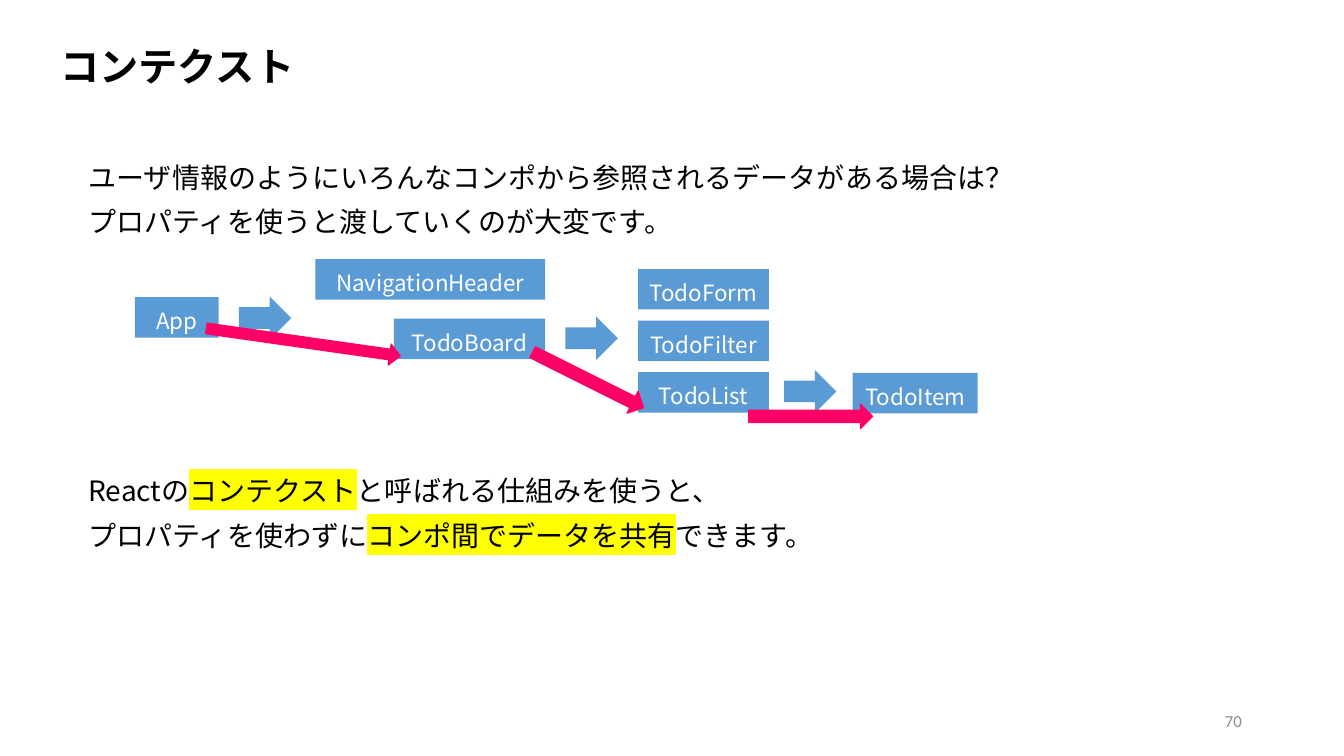
from dataclasses import dataclass

from lxml import etree
from pptx import Presentation
from pptx import util as u
from pptx.dml.color import RGBColor
from pptx.enum import shapes, text
from pptx.oxml.ns import qn


@dataclass(frozen=True)
class Theme:
    font: str = "Noto Sans CJK JP"
    number_font: str = "Calibri"
    ink: str = "000000"
    paper: str = "FFFFFF"
    node: str = "5B9BD5"
    route: str = "FF0066"
    marker: str = "FFFF00"
    muted: str = "8C8C8C"
    title_size: int = 28
    body_size: int = 20
    node_size: int = 16
    number_size: int = 12
    body_leading: int = 32
    node_leading: int = 24


class SlideBuilder:
    def __init__(self, slide, theme):
        self.slide = slide
        self.theme = theme

    def add_run(self, paragraph, words, size, color, font=None, bold=False, marked=False):
        font = font or self.theme.font
        run = paragraph.add_run()
        run.text = words
        run.font.size = u.Pt(size)
        run.font.bold = bold
        run.font.name = font
        run.font.color.rgb = RGBColor.from_string(color)
        properties = run.font._element
        east_asian = etree.Element(qn("a:ea"), typeface=font)
        properties.find(qn("a:latin")).addnext(east_asian)
        if marked:
            highlight = etree.Element(qn("a:highlight"))
            etree.SubElement(highlight, qn("a:srgbClr"), val=self.theme.marker)
            properties.find(qn("a:solidFill")).addnext(highlight)

    def title(self, words, left, top, width, height):
        heading = self.slide.shapes.title
        heading.left, heading.top = u.Cm(left), u.Cm(top)
        heading.width, heading.height = u.Cm(width), u.Cm(height)
        frame = heading.text_frame
        frame.word_wrap = True
        frame.auto_size = text.MSO_AUTO_SIZE.NONE
        frame.vertical_anchor = text.MSO_ANCHOR.TOP
        paragraph = frame.paragraphs[0]
        paragraph.alignment = text.PP_ALIGN.LEFT
        self.add_run(paragraph, words, self.theme.title_size, self.theme.ink, bold=True)

    def textbox(self, left, top, width, height):
        box = self.slide.shapes.add_textbox(u.Cm(left), u.Cm(top), u.Cm(width), u.Cm(height))
        box.text_frame.word_wrap = True
        return box.text_frame

    def body(self, lines, left, top, width, height):
        """Each line is (blank line heights above it, [(words, marked), ...])."""
        frame = self.textbox(left, top, width, height)
        for index, (gap, pieces) in enumerate(lines):
            paragraph = frame.add_paragraph() if index else frame.paragraphs[0]
            paragraph.line_spacing = u.Pt(self.theme.body_leading)
            if gap:
                paragraph.space_before = u.Pt(gap * self.theme.body_leading)
            for words, marked in pieces:
                self.add_run(paragraph, words, self.theme.body_size, self.theme.ink, marked=marked)

    def page_number(self, number, left, top, width, height):
        frame = self.textbox(left, top, width, height)
        frame.vertical_anchor = text.MSO_ANCHOR.MIDDLE
        paragraph = frame.paragraphs[0]
        paragraph.alignment = text.PP_ALIGN.RIGHT
        self.add_run(paragraph, number, self.theme.number_size, self.theme.muted,
                     font=self.theme.number_font)

    def block(self, preset, color, left, top, width, height):
        shape = self.slide.shapes.add_shape(
            preset, u.Cm(left), u.Cm(top), u.Cm(width), u.Cm(height))
        shape.shadow.inherit = False
        shape.fill.solid()
        shape.fill.fore_color.rgb = RGBColor.from_string(color)
        shape.line.fill.background()
        return shape

    def node(self, name, left, top, width, height=1.02):
        shape = self.block(shapes.MSO_SHAPE.RECTANGLE, self.theme.node, left, top, width, height)
        frame = shape.text_frame
        frame.word_wrap = True
        frame.vertical_anchor = text.MSO_ANCHOR.MIDDLE
        paragraph = frame.paragraphs[0]
        paragraph.alignment = text.PP_ALIGN.CENTER
        paragraph.line_spacing = u.Pt(self.theme.node_leading)
        self.add_run(paragraph, name, self.theme.node_size, self.theme.paper)

    def step_arrow(self, left, top, width=1.32, height=1.09):
        self.block(shapes.MSO_SHAPE.RIGHT_ARROW, self.theme.node, left, top, width, height)

    def route_arrow(self, left, top, width, height, rotation):
        arrow = self.block(shapes.MSO_SHAPE.RIGHT_ARROW, self.theme.route,
                           left, top, width, height)
        arrow.line.color.rgb = RGBColor.from_string(self.theme.route)
        arrow.line.width = u.Pt(1)
        arrow.rotation = rotation


def main():
    deck = Presentation()
    deck.slide_width, deck.slide_height = u.Cm(33.87), u.Cm(19.05)
    title_only = deck.slide_layouts[5]
    page = SlideBuilder(deck.slides.add_slide(title_only), Theme())

    page.body([
        (0, [("ユーザ情報のようにいろんなコンポから参照されるデータがある場合は？", False)]),
        (0, [("プロパティを使うと渡していくのが大変です。", False)]),
        (5, [("Reactの", False), ("コンテクスト", True), ("と呼ばれる仕組みを使うと、", False)]),
        (0, [("プロパティを使わずに", False), ("コンポ間でデータを共有", True),
             ("できます。", False)]),
    ], 1.98, 3.63, 30.25, 10.36)
    page.title("コンテクスト", 1.27, 0.94, 23.34, 1.45)

    page.node("App", 3.4, 7.49, 2.11)
    page.node("NavigationHeader", 7.95, 6.53, 5.79)
    page.node("TodoBoard", 9.93, 8.03, 3.81)
    for row, name in enumerate(("TodoForm", "TodoFilter", "TodoList")):
        page.node(name, 16.08, 6.78 + 1.3 * row, 3.3)
    page.node("TodoItem", 21.49, 9.4, 3.15)

    for left, top in ((6.02, 7.47), (14.25, 7.98), (19.76, 9.32)):
        page.step_arrow(left, top)
    page.route_arrow(5.18, 8.36, 4.93, 0.53, rotation=8.1)
    page.route_arrow(13.26, 9.27, 3.12, 0.61, rotation=26.6)
    page.route_arrow(18.87, 10.19, 3.12, 0.61, rotation=0)

    page.page_number("70", 23.93, 17.65, 7.62, 1.02)
    deck.save("out.pptx")


if __name__ == "__main__":
    main()
